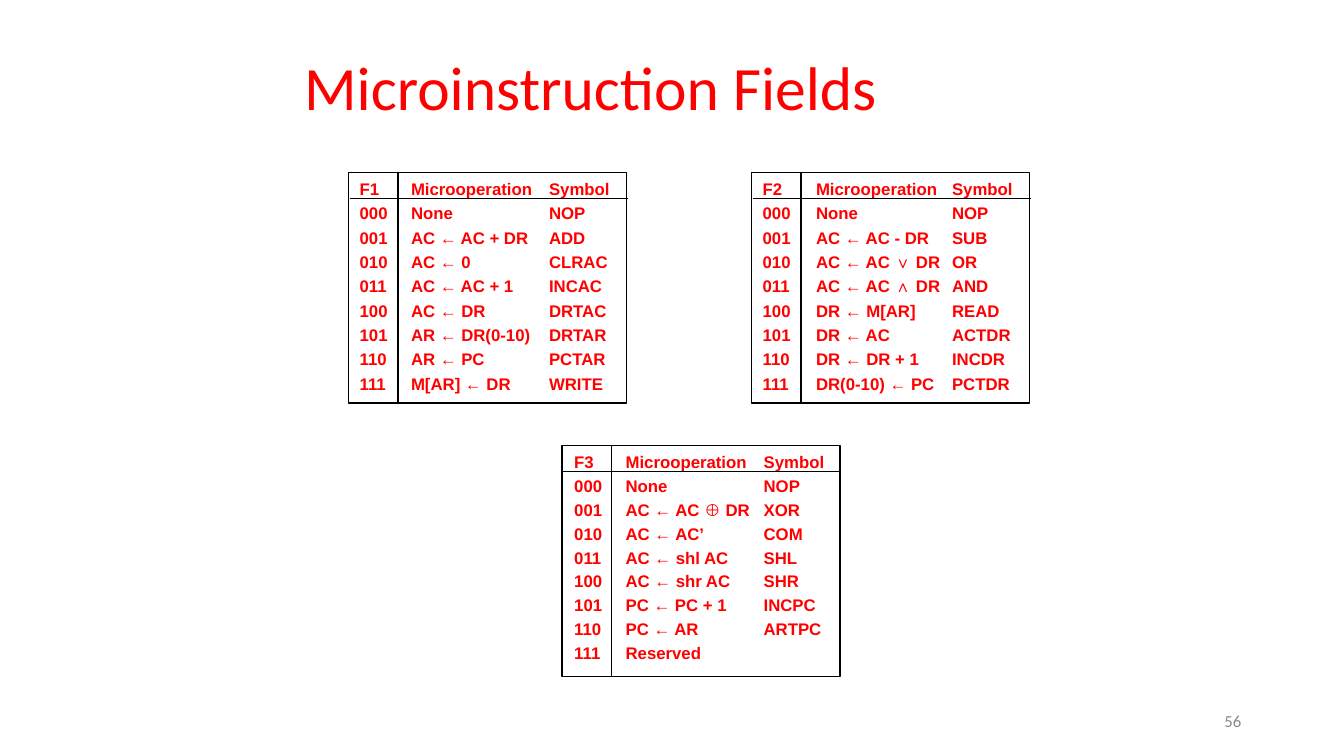
import pptx
import pptx.util
import pptx.dml.color
import pptx.enum.shapes
import pptx.enum.text
import pptx.oxml
import pptx.oxml.ns
from dataclasses import dataclass

TITLE = "Microinstruction Fields"
PAGE = "56"
HEADS = ("Microoperation", "Symbol")
FIELDS = {
    "F1": [("None", "NOP"), ("AC ← AC + DR", "ADD"), ("AC ← 0", "CLRAC"),
           ("AC ← AC + 1", "INCAC"), ("AC ← DR", "DRTAC"),
           ("AR ← DR(0-10)", "DRTAR"), ("AR ← PC", "PCTAR"),
           ("M[AR] ← DR", "WRITE")],
    "F2": [("None", "NOP"), ("AC ← AC - DR", "SUB"), ("AC ← AC ∨ DR", "OR"),
           ("AC ← AC ∧ DR", "AND"), ("DR ← M[AR]", "READ"),
           ("DR ← AC", "ACTDR"), ("DR ← DR + 1", "INCDR"),
           ("DR(0-10) ← PC", "PCTDR")],
    "F3": [("None", "NOP"), ("AC ← AC ⊕ DR", "XOR"), ("AC ← AC’", "COM"),
           ("AC ← shl AC", "SHL"), ("AC ← shr AC", "SHR"),
           ("PC ← PC + 1", "INCPC"), ("PC ← AR", "ARTPC"),
           ("Reserved",)],
}


@dataclass(frozen=True)
class Theme:
    red: str = "FF0000"
    gray: str = "898989"
    black: str = "000000"
    head: str = "Calibri"
    body: str = "Arial"
    big: int = 44
    small: int = 12
    rule: int = 1


theme = Theme()
WIDE, HIGH = 133.4, 75
SPOTS = {
    "F1": dict(box=(34.6, 17.1), text=(35, 17, 30, 22.3), tab=5.1, lead=1.21),
    "F2": dict(box=(74.6, 17.1), text=(75, 17, 39.4, 22.3), tab=5.3, lead=1.21),
    "F3": dict(box=(55.8, 44.2), text=(56.3, 44.2, 44.4, 21.8), tab=5.1, lead=1.18),
}
BOX = (27.6, 22.9)
TAB, HEAD, CODE, NUDGE = 18.8, 2.6, 4.9, 0.1
PADS = (0.7, 0.3)
ANCHOR = pptx.enum.text.MSO_ANCHOR
ALIGN = pptx.enum.text.PP_ALIGN


def grid(count):
    return pptx.util.Inches(count / 10)


def rgb(color):
    return pptx.dml.color.RGBColor.from_string(color)


def node(tag, **attrs):
    item = pptx.oxml.parse_xml(f'<a:{tag} {pptx.oxml.ns.nsdecls("a")}/>')
    for key, value in attrs.items():
        item.set(key, str(value))
    return item


def write(para, text, font, size, color, bold=False):
    run = para.add_run()
    run.text = text
    run.font.name = font
    run.font.size = pptx.util.Pt(size)
    run.font.bold = bold
    run.font.color.rgb = rgb(color)


def frame(slide, box, anchor):
    body = slide.shapes.add_textbox(*map(grid, box)).text_frame
    body.word_wrap = True
    body.vertical_anchor = anchor
    return body


def label(slide, box, text, size, color, align, lead):
    para = frame(slide, box, ANCHOR.MIDDLE).paragraphs[0]
    para.alignment = align
    para.line_spacing = lead
    write(para, text, theme.head, size, color)


def ink(line):
    line.color.rgb = rgb(theme.black)
    line.width = pptx.util.Pt(theme.rule)


def rule(group, *ends):
    line = group.shapes.add_connector(
        pptx.enum.shapes.MSO_CONNECTOR.STRAIGHT, *map(grid, ends))
    ink(line.line)
    line._element.spPr.append(node("effectLst"))


def field(slide, name, ops):
    spot = SPOTS[name]
    rows = [(name, *HEADS)] + [(f"{code:03b}", *op) for code, op in enumerate(ops)]
    group = slide.shapes.add_group_shape()
    body = frame(group, spot["text"], ANCHOR.TOP)
    body.margin_left = body.margin_right = grid(PADS[0])
    body.margin_top = body.margin_bottom = grid(PADS[1])
    for count, row in enumerate(rows):
        para = body.add_paragraph() if count else body.paragraphs[0]
        para.line_spacing = spot["lead"]
        tabs = node("tabLst")
        for stop in (spot["tab"], TAB):
            tabs.append(node("tab", pos=grid(stop), algn="l"))
        para._p.get_or_add_pPr().append(tabs)
        write(para, "\t".join(row), theme.body, theme.small, theme.red, True)
    left, top = spot["box"]
    wide, tall = BOX
    rect = group.shapes.add_shape(
        pptx.enum.shapes.MSO_SHAPE.RECTANGLE, *map(grid, (left, top, wide, tall)))
    rect.shadow.inherit = False
    rect.fill.background()
    ink(rect.line)
    rule(group, left + NUDGE, top + HEAD, left + NUDGE + wide, top + HEAD)
    rule(group, left + CODE, top, left + CODE, top + tall)


def main():
    deck = pptx.Presentation()
    deck.slide_width, deck.slide_height = grid(WIDE), grid(HIGH)
    slide = deck.slides.add_slide(deck.slide_layouts[6])
    label(slide, (94.2, 69.5, 30, 4), PAGE, theme.small, theme.gray, ALIGN.RIGHT, 1)
    label(slide, (29.2, 2.7, 85, 12.5), TITLE, theme.big, theme.red, ALIGN.LEFT, 0.9)
    for name, ops in FIELDS.items():
        field(slide, name, ops)
    deck.save("out.pptx")


if __name__ == "__main__":
    main()
